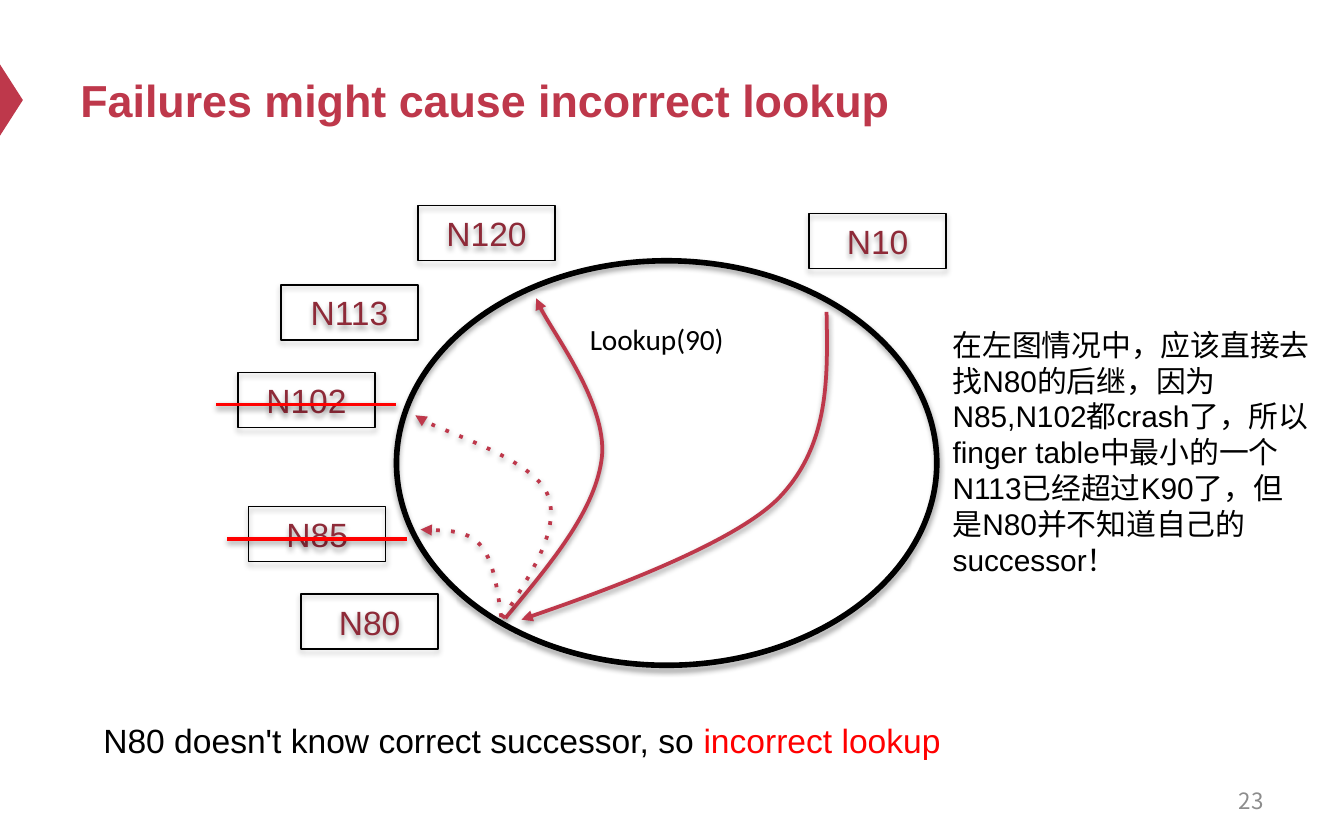
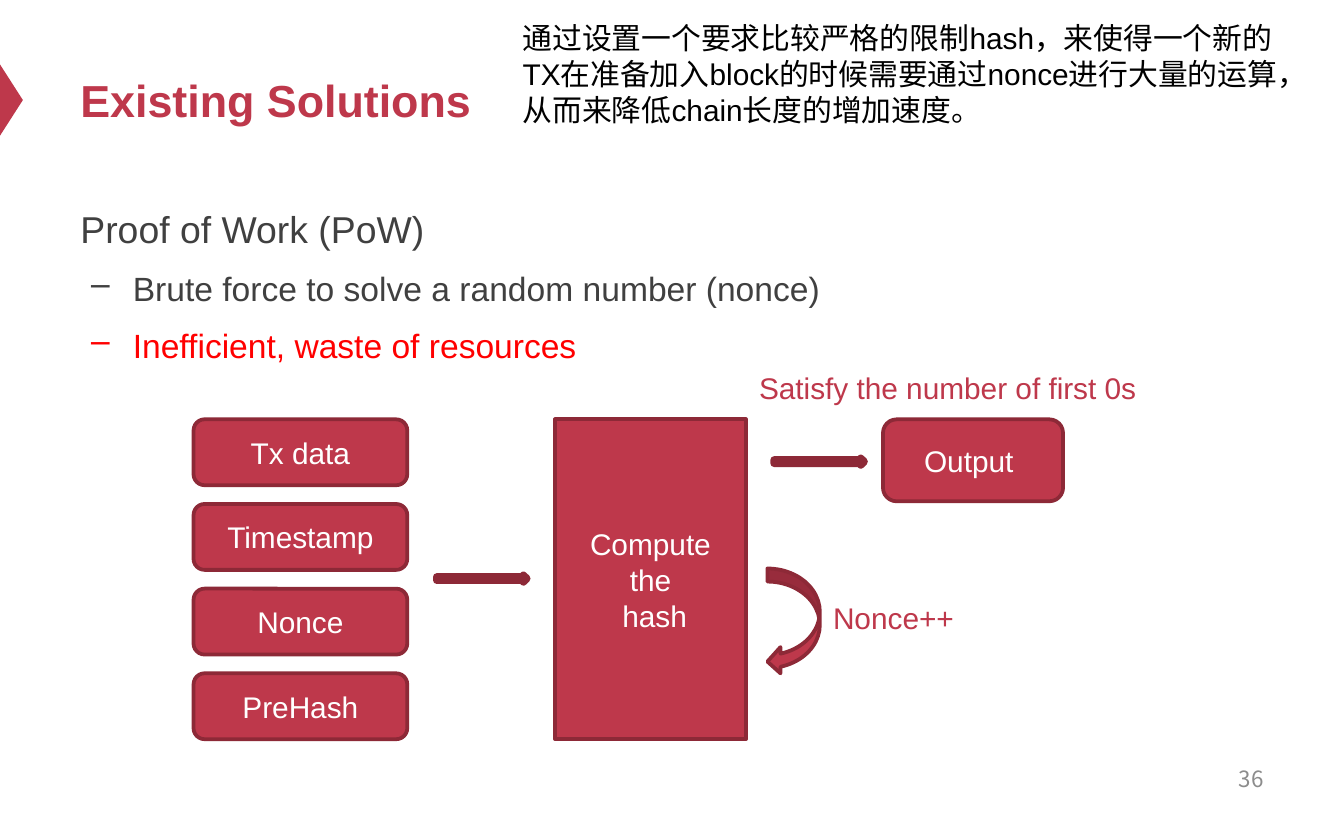
from lxml import etree
from pptx import Presentation
from pptx.dml.color import RGBColor
from pptx.enum.shapes import MSO_CONNECTOR, MSO_SHAPE
from pptx.enum.text import MSO_ANCHOR, MSO_AUTO_SIZE, PP_ALIGN
from pptx.oxml.ns import qn
from pptx.util import Inches, Pt

RECT, ROUNDED = MSO_SHAPE.RECTANGLE, MSO_SHAPE.ROUNDED_RECTANGLE
OVAL, TRIANGLE = MSO_SHAPE.OVAL, MSO_SHAPE.ISOSCELES_TRIANGLE
RIGHT_ARROW, CURVED_ARROW = MSO_SHAPE.RIGHT_ARROW, MSO_SHAPE.CURVED_LEFT_ARROW
STRAIGHT = MSO_CONNECTOR.STRAIGHT
TOP, MIDDLE = MSO_ANCHOR.TOP, MSO_ANCHOR.MIDDLE
LEFT, CENTER, RIGHT = PP_ALIGN.LEFT, PP_ALIGN.CENTER, PP_ALIGN.RIGHT
FIT_SHAPE = MSO_AUTO_SIZE.SHAPE_TO_FIT_TEXT

CRIMSON = RGBColor(0xBE, 0x38, 0x4B)
MAROON = RGBColor(0x8D, 0x29, 0x37)
NODE_TEXT = RGBColor(0x8E, 0x2A, 0x38)
RED = RGBColor(0xFF, 0x00, 0x00)
BLACK = RGBColor(0x00, 0x00, 0x00)
WHITE = RGBColor(0xFF, 0xFF, 0xFF)
DARK_GRAY = RGBColor(0x40, 0x40, 0x40)
GRAY = RGBColor(0x8C, 0x8C, 0x8C)

# Shadow opacity in percent, distance in points
SHAPE_SHADOW = (35, 1.8)
LINE_SHADOW = (38, 1.6)


def write(paragraph, text, size=16, color=BLACK, font="Arial", bold=False,
          align=LEFT, raised=0):
    """Add one run of formatted text to a paragraph."""
    paragraph.alignment = align
    run = paragraph.add_run()
    run.text = text
    run.font.size = Pt(size)
    run.font.name = font
    run.font.bold = bold
    run.font.color.rgb = color
    if raised:
        run._r.get_or_add_rPr().set("baseline", str(raised * 1000))


def set_effects(shape, shadow=None):
    """Clear the theme shadow and, if asked, give a soft one below."""
    properties = shape.element.spPr
    effects = properties.find(qn("a:effectLst"))
    if effects is None:
        effects = etree.SubElement(properties, qn("a:effectLst"))
    if shadow:
        opacity, distance = shadow
        outer = etree.SubElement(
            effects, qn("a:outerShdw"), blurRad=str(Pt(3.1)),
            dist=str(Pt(distance)), dir="5400000", rotWithShape="0")
        shade = etree.SubElement(outer, qn("a:srgbClr"), val=str(BLACK))
        etree.SubElement(shade, qn("a:alpha"), val=str(opacity * 1000))


class Deck:
    """Holds the shared style and the slide being built."""

    def __init__(self):
        self.prs = Presentation()
        self.prs.slide_width, self.prs.slide_height = Inches(10), Inches(6.25)
        self.slide = None

    def new_slide(self, title, number, number_top):
        self.slide = self.prs.slides.add_slide(self.prs.slide_layouts[6])
        marker = self.shape(TRIANGLE, -0.18, 0.66, 0.53, 0.17, fill=CRIMSON)
        marker.rotation = 90
        self.text(title, 0.5, 0.25, 9, 0.98, anchor=MIDDLE,
                  size=24, color=CRIMSON, bold=True)
        self.text(str(number), 7.17, number_top, 2.33, 0.33, anchor=MIDDLE,
                  size=12, color=GRAY, font="Noto Sans CJK SC", align=RIGHT)

    def text(self, text, x, y, w, h, anchor=TOP, wrap=True, grow=False, **style):
        box = self.slide.shapes.add_textbox(
            Inches(x), Inches(y), Inches(w), Inches(h))
        frame = box.text_frame
        frame.word_wrap = wrap
        frame.vertical_anchor = anchor
        if grow:
            frame.auto_size = FIT_SHAPE
        if text:
            write(frame.paragraphs[0], text, **style)
        return frame

    def outline(self, shape, color, width):
        if color is None:
            shape.line.fill.background()
        else:
            shape.line.color.rgb = color
            shape.line.width = Pt(width)

    def shape(self, kind, x, y, w, h, lines=(), fill=None, line=None,
              width=2, shadow=None, **style):
        shape = self.slide.shapes.add_shape(
            kind, Inches(x), Inches(y), Inches(w), Inches(h))
        shape.shadow.inherit = False
        if fill is None:
            shape.fill.background()
        else:
            shape.fill.solid()
            shape.fill.fore_color.rgb = fill
        self.outline(shape, line, width)
        set_effects(shape, shadow)
        frame = shape.text_frame
        frame.vertical_anchor = MIDDLE
        for index, text in enumerate(lines):
            paragraph = frame.add_paragraph() if index else frame.paragraphs[0]
            write(paragraph, text, align=CENTER, **style)
        return shape

    def block(self, kind, x, y, w, h, *lines, width=2):
        return self.shape(kind, x, y, w, h, lines, fill=CRIMSON, line=MAROON,
                          width=width, color=WHITE)

    def curve(self, points, dotted=False):
        """Draw an arrow along Bézier curves: a start, then triples of points."""
        start, *rest = [(Inches(x), Inches(y)) for x, y in points]
        builder = self.slide.shapes.build_freeform(*start)
        builder.add_line_segments(rest, close=False)
        arrow = builder.convert_to_shape()
        arrow.shadow.inherit = False
        arrow.fill.background()
        self.outline(arrow, CRIMSON, 2)
        set_effects(arrow, LINE_SHADOW)
        # Join each three straight segments into one cubic curve
        segments = list(arrow.element.iter(qn("a:lnTo")))
        for first in range(0, len(segments), 3):
            segments[first].addprevious(etree.Element(qn("a:cubicBezTo")))
            cubic = segments[first].getprevious()
            for segment in segments[first:first + 3]:
                cubic.append(segment[0])
                segment.getparent().remove(segment)
        stroke = arrow.element.spPr.find(qn("a:ln"))
        if dotted:
            etree.SubElement(stroke, qn("a:prstDash"), val="dot")
        etree.SubElement(stroke, qn("a:tailEnd"), type="triangle")

    def strike(self, x, y, length):
        line = self.slide.shapes.add_connector(
            STRAIGHT, Inches(x), Inches(y), Inches(x + length), Inches(y))
        self.outline(line, RED, 2)
        set_effects(line, LINE_SHADOW)

    def dash_item(self, frame, text, **style):
        paragraph = frame.add_paragraph()
        paragraph.level = 1
        properties = paragraph._p.get_or_add_pPr()
        properties.set("marL", str(Inches(0.39)))
        properties.set("indent", str(Inches(-0.31)))
        etree.SubElement(properties, qn("a:buChar"), char="–")
        paragraph.line_spacing = 1.2
        paragraph.space_before = Pt(4.5)
        write(paragraph, text, size=18, **style)


def build_failures(deck):
    deck.new_slide("Failures might cause incorrect lookup", 23, 5.79)

    # Ring and its nodes
    deck.shape(OVAL, 2.95, 1.94, 4.02, 3.01, line=BLACK, width=3,
               shadow=SHAPE_SHADOW)
    nodes = {"N80": (2.24, 4.42), "N85": (1.85, 3.77), "N102": (1.77, 2.77),
             "N113": (2.09, 2.12), "N120": (3.11, 1.53), "N10": (6.02, 1.59)}
    for node, (x, y) in nodes.items():
        deck.shape(RECT, x, y, 1.02, 0.41, [node], line=BLACK, width=0.75,
                   shadow=SHAPE_SHADOW, size=18, color=NODE_TEXT)

    # Lookup hops; dotted ones lead to failed nodes
    deck.curve([(3.73, 4.59), (3.7, 4.37), (3.67, 4.16), (3.57, 4.05),
                (3.47, 3.94), (3.13, 3.94), (3.13, 3.94)], dotted=True)
    deck.curve([(3.76, 4.6), (4.1, 4.19), (4.44, 3.79), (4.48, 3.39),
                (4.51, 3), (4.04, 2.38), (3.99, 2.22)])
    deck.curve([(3.74, 4.6), (3.96, 4.26), (4.18, 3.92), (4.07, 3.67),
                (3.96, 3.42), (3.12, 3.15), (3.09, 3.09)], dotted=True)
    deck.curve([(6.15, 2.32), (6.16, 2.82), (6.17, 3.32), (5.79, 3.71),
                (5.41, 4.09), (3.88, 4.61), (3.88, 4.61)])
    for failed in ("N102", "N85"):
        x, y = nodes[failed]
        deck.strike(x - 0.16, y + 0.24, 1.34)

    # Captions
    conclusion = deck.text("N80 doesn't know correct successor, so", 0.67, 5.31,
                           6.49, 0.4, wrap=False, grow=True, size=18)
    write(conclusion.paragraphs[0], " incorrect lookup", size=18, color=RED)
    deck.text("Lookup(90)", 4.29, 2.3, 1.36, 0.56, wrap=False, grow=True,
              size=27, font="Calibri", raised=30)
    deck.text("在左图情况中，应该直接去找N80的后继，因为N85,N102都crash了，"
              "所以finger table中最小的一个N113已经超过K90了，"
              "但是N80并不知道自己的successor！", 6.99, 2.38, 2.87, 1.98, grow=True)


def build_solutions(deck):
    deck.new_slide("Existing Solutions", 36, 5.63)

    # Proof of work points
    points = deck.text("Proof of Work (PoW)", 0.5, 1.42, 9, 4.54,
                       size=20, color=DARK_GRAY)
    points.paragraphs[0].line_spacing = 1.2
    deck.dash_item(points, "Brute force to solve a random number (nonce)",
                   color=DARK_GRAY)
    deck.dash_item(points, "Inefficient, waste of resources", color=RED)

    # Hash inputs, computation and output
    for row, field in enumerate(("Tx data", "Timestamp", "Nonce", "PreHash")):
        deck.block(ROUNDED, 1.44, 3.12 + 0.63 * row, 1.59, 0.49, field)
    deck.block(RECT, 4.13, 3.12, 1.42, 2.38, "Compute", "the", " hash")
    deck.block(ROUNDED, 6.57, 3.12, 1.34, 0.61, "Output ")
    deck.block(CURVED_ARROW, 5.71, 4.23, 0.39, 0.79)
    for x, y in ((3.25, 4.28), (5.76, 3.41)):
        deck.block(RIGHT_ARROW, x, y, 0.67, 0.05, width=4)

    # Captions
    for caption, x, y in (("Satisfy the number of first 0s", 5.55, 2.7),
                          ("Nonce++", 6.1, 4.41)):
        deck.text(caption, x, y, 3.63, 0.37, grow=True, color=CRIMSON)
    deck.text("通过设置一个要求比较严格的限制hash，来使得一个新的TX在准备加入block"
              "的时候需要通过nonce进行大量的运算，从而来降低chain长度的增加速度。",
              3.79, 0.1, 5.99, 0.91, grow=True)


def main():
    deck = Deck()
    build_failures(deck)
    build_solutions(deck)
    deck.prs.save("out.pptx")


if __name__ == "__main__":
    main()
